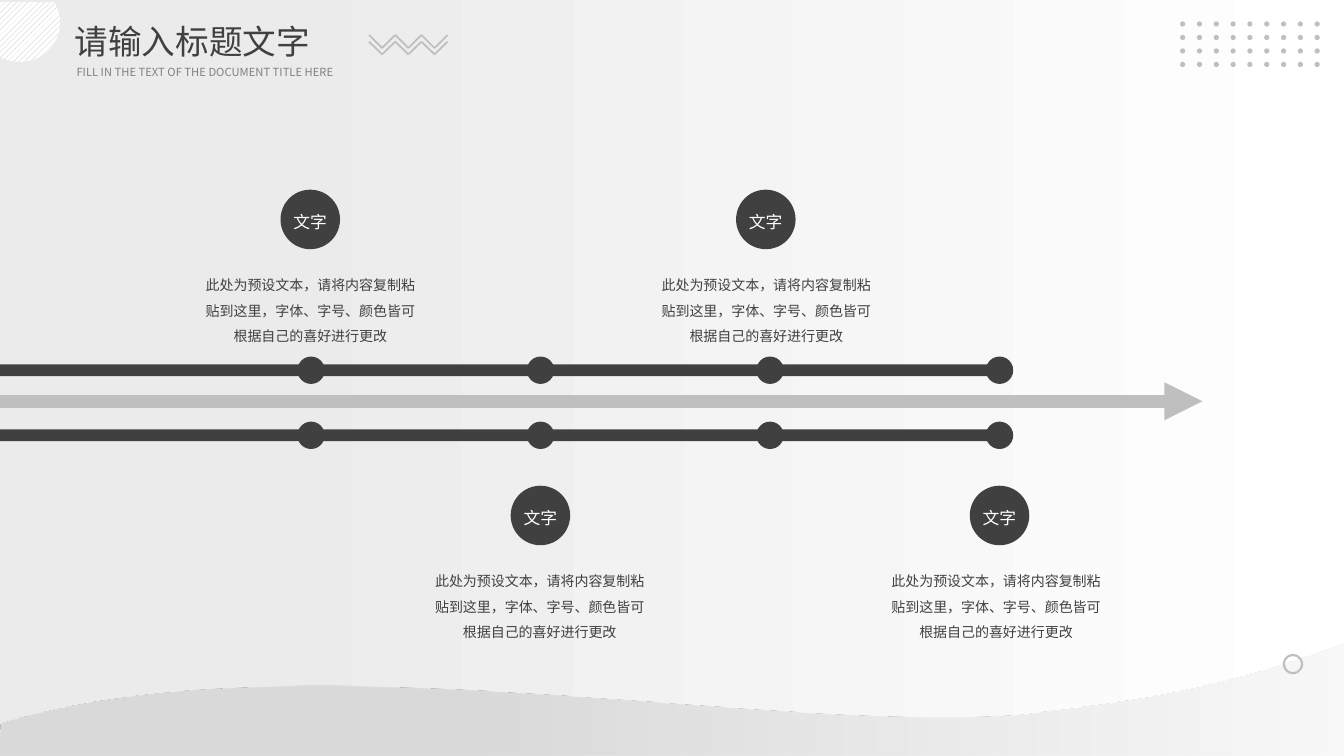
from lxml.etree import SubElement
from pptx import Presentation
from pptx.dml.color import RGBColor
from pptx.enum.dml import MSO_PATTERN
from pptx.enum.shapes import MSO_CONNECTOR, MSO_SHAPE
from pptx.enum.text import MSO_ANCHOR, MSO_AUTO_SIZE, PP_ALIGN
from pptx.oxml.ns import qn
from pptx.util import Cm, Pt

TITLE = "请输入标题文字"
SUBTITLE = "FILL IN THE TEXT OF THE DOCUMENT TITLE HERE"
BADGE = "文字"
BODY = "此处为预设文本，请将内容复制粘贴到这里，字体、字号、颜色皆可根据自己的喜好进行更改"
FONT = "Noto Sans CJK SC"
COLORS = {
    "dark": "404040", "muted": "808080", "gray": "BFBFBF", "white": "FFFFFF",
    "backdrop": "EBEBEB", "wave": "D9D9D9", "mist": "F4F4F4",
}
WIDTH, HEIGHT = 33.87, 19.05

MILESTONES = [
    {"badge": 7.82, "text": 7.82, "top": 4.78},
    {"badge": 19.3, "text": 19.31, "top": 4.78},
    {"badge": 13.62, "text": 13.6, "top": 12.24},
    {"badge": 25.19, "text": 25.1, "top": 12.24},
]
BADGE_SIZE, BODY_DROP, BODY_WIDTH, BODY_HEIGHT = 1.5, 1.86, 5.79, 2.08

TRACKS = [9.33, 10.97]
BARS = [(0, 7.9), (8.05, 5.69), (13.61, 5.69), (19.41, 5.69)]
BAR_HEIGHT, KNOT_SIZE, KNOT_FIRST, KNOT_LAST = 0.3, 0.69, 7.84, 25.19
ARROW_Y, ARROW_END = 10.11, 30.3

ZIGZAGS = [(0.88, 1.21), (1.05, 1.37)]
ZIGZAG_LEFT, ZIGZAG_STEP, ZIGZAG_COUNT = 9.3, 0.33, 6
DOT_LEFT, DOT_RIGHT, DOT_TOP, DOT_SIZE = 29.74, 33.13, 0.54, 0.13
DOT_COLUMNS, DOT_ROWS, DOT_STEP_Y = 9, 4, 0.34

WAVE = [
    [(WIDTH, HEIGHT)], [(0, HEIGHT)],
    [(0, 18.77), (0.03, 18.52), (0.03, 18.24)],
    [(7.24, 15.98), (19.41, 18.52), (25.7, 18.01)],
    [(28.93, 17.63), (30.66, 17.37), (WIDTH, 16.21)],
]
CORNER = [
    [(0.51, 1.56)], [(0.33, 1.56), (0.15, 1.52), (0, 1.45)],
    [(0, 1.42)], [(0, 0.05)], [(1.4, 0.05)], [(1.42, 0.15)],
    [(1.47, 0.28), (1.52, 0.41), (1.52, 0.53)],
    [(1.52, 1.12), (1.07, 1.56), (0.51, 1.56)],
]


def color(name):
    return RGBColor.from_string(COLORS[name])


def write(shape, text, size, tone, alignment, spacing=None):
    paragraph = shape.text_frame.paragraphs[0]
    paragraph.alignment = alignment
    if spacing:
        paragraph.line_spacing = spacing
    run = paragraph.add_run()
    run.text = text
    run.font.size = Pt(size)
    run.font.color.rgb = color(tone)
    run.font.name = FONT
    SubElement(run.font._element, qn("a:ea"), typeface=FONT)


def add_text(slide, box, wrap=True):
    shape = slide.shapes.add_textbox(*map(Cm, box))
    shape.text_frame.word_wrap = wrap
    shape.text_frame.auto_size = MSO_AUTO_SIZE.SHAPE_TO_FIT_TEXT
    return shape


def add_solid(parent, kind, left, top, width, height, tone):
    shape = parent.shapes.add_shape(kind, *map(Cm, (left, top, width, height)))
    shape.shadow.inherit = False
    shape.fill.solid()
    shape.fill.fore_color.rgb = color(tone)
    shape.line.fill.background()
    return shape


def add_line(parent, start, end, weight, arrow=False):
    connector = parent.shapes.add_connector(MSO_CONNECTOR.STRAIGHT, *map(Cm, (*start, *end)))
    connector.line.color.rgb = color("gray")
    connector.line.width = Pt(weight)
    properties = connector._element.spPr
    if arrow:
        SubElement(properties.find(qn("a:ln")), qn("a:tailEnd"), type="triangle")
    SubElement(properties, qn("a:effectLst"))


def add_outline(slide, segments):
    """Draw an outline whose three-point segments are Bezier curves."""
    ends = [tuple(map(Cm, segment[-1])) for segment in segments]
    builder = slide.shapes.build_freeform(*ends[0])
    builder.add_line_segments(ends[1:], close=True)
    shape = builder.convert_to_shape()
    lines = list(shape._element.iter(qn("a:lnTo")))
    for line, segment in zip(lines, segments[1:]):
        if len(segment) == 3:
            line.tag = qn("a:cubicBezTo")
            line.clear()
            for x, y in segment:
                SubElement(line, qn("a:pt"), x=str(Cm(x) - shape.left), y=str(Cm(y) - shape.top))
    shape.shadow.inherit = False
    shape.line.fill.background()
    return shape


def set_gradient(fill, angle, stops):
    fill.gradient()
    fill.gradient_angle = angle
    for stop, (position, tone) in zip(fill.gradient_stops, stops):
        stop.position = position
        stop.color.rgb = color(tone)


def add_decoration(slide):
    wave = add_outline(slide, WAVE)
    set_gradient(wave.fill, 0, [(0.35, "wave"), (1, "mist")])
    last_color = wave._element.spPr.findall(".//" + qn("a:srgbClr"))[-1]
    SubElement(last_color, qn("a:alpha"), val="66000")
    zigzag_group = slide.shapes.add_group_shape()
    for high, low in ZIGZAGS:
        for index in range(ZIGZAG_COUNT):
            left = ZIGZAG_LEFT + index * ZIGZAG_STEP
            start, end = (high, low) if index % 2 == 0 else (low, high)
            add_line(zigzag_group, (left, start), (left + ZIGZAG_STEP, end), 1.25)
    ring = add_solid(slide, MSO_SHAPE.DONUT, 32.33, 16.48, 0.51, 0.51, "gray")
    ring.adjustments[0] = 0.1
    dot_group = slide.shapes.add_group_shape()
    dot_step = (DOT_RIGHT - DOT_LEFT) / (DOT_COLUMNS - 1)
    for column in range(DOT_COLUMNS):
        for row in range(DOT_ROWS):
            add_solid(dot_group, MSO_SHAPE.OVAL, DOT_LEFT + column * dot_step,
                      DOT_TOP + row * DOT_STEP_Y, DOT_SIZE, DOT_SIZE, "gray")
    corner = add_outline(slide, CORNER)
    corner.fill.patterned()
    corner.fill.pattern = MSO_PATTERN.WIDE_UPWARD_DIAGONAL
    corner.fill.fore_color.rgb = color("gray")
    corner.fill.back_color.rgb = color("white")


def add_timeline(slide):
    add_line(slide, (0, ARROW_Y), (ARROW_END, ARROW_Y), 9, arrow=True)
    knot_step = (KNOT_LAST - KNOT_FIRST) / (len(BARS) - 1)
    for middle in TRACKS:
        for index, (left, width) in enumerate(BARS):
            add_solid(slide, MSO_SHAPE.RECTANGLE, left, middle - BAR_HEIGHT / 2,
                      width, BAR_HEIGHT, "dark")
            knot = KNOT_FIRST + index * knot_step
            add_solid(slide, MSO_SHAPE.OVAL, knot - KNOT_SIZE / 2,
                      middle - KNOT_SIZE / 2, KNOT_SIZE, KNOT_SIZE, "dark")


def add_milestone(slide, milestone):
    top = milestone["top"]
    badge = add_solid(slide, MSO_SHAPE.OVAL, milestone["badge"] - BADGE_SIZE / 2, top,
                      BADGE_SIZE, BADGE_SIZE, "dark")
    frame = badge.text_frame
    frame.margin_left = frame.margin_right = frame.margin_top = frame.margin_bottom = 0
    frame.vertical_anchor = MSO_ANCHOR.MIDDLE
    write(badge, BADGE, 12, "white", PP_ALIGN.CENTER, 1.2)
    left = milestone["text"] - BODY_WIDTH / 2
    body = add_text(slide, (left, top + BODY_DROP, BODY_WIDTH, BODY_HEIGHT))
    write(body, BODY, 10, "dark", PP_ALIGN.CENTER, 1.5)


def main():
    presentation = Presentation()
    presentation.slide_width, presentation.slide_height = Cm(WIDTH), Cm(HEIGHT)
    slide = presentation.slides.add_slide(presentation.slide_layouts[5])
    set_gradient(slide.background.fill, 180, [(0, "white"), (0.82, "backdrop")])
    title = slide.shapes.title
    title.left, title.top, title.width, title.height = map(Cm, (1.63, 0.41, 7.21, 1.27))
    title.text_frame.vertical_anchor = MSO_ANCHOR.TOP
    title.text_frame.auto_size = MSO_AUTO_SIZE.SHAPE_TO_FIT_TEXT
    write(title, TITLE, 24, "dark", PP_ALIGN.JUSTIFY)
    subtitle = add_text(slide, (1.68, 1.52, 7.04, 0.61), wrap=False)
    write(subtitle, SUBTITLE, 8, "muted", PP_ALIGN.LEFT)
    add_decoration(slide)
    add_timeline(slide)
    for milestone in MILESTONES:
        add_milestone(slide, milestone)
    presentation.save("out.pptx")


if __name__ == "__main__":
    main()
